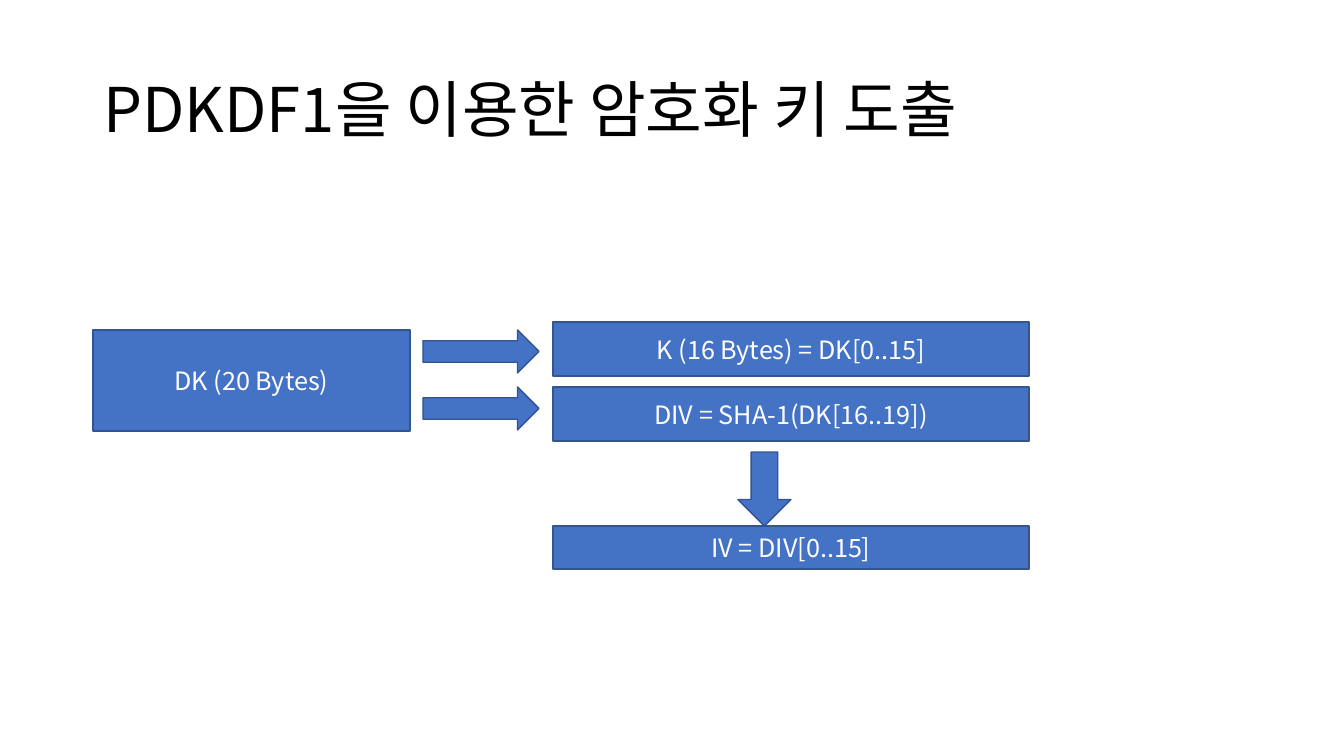
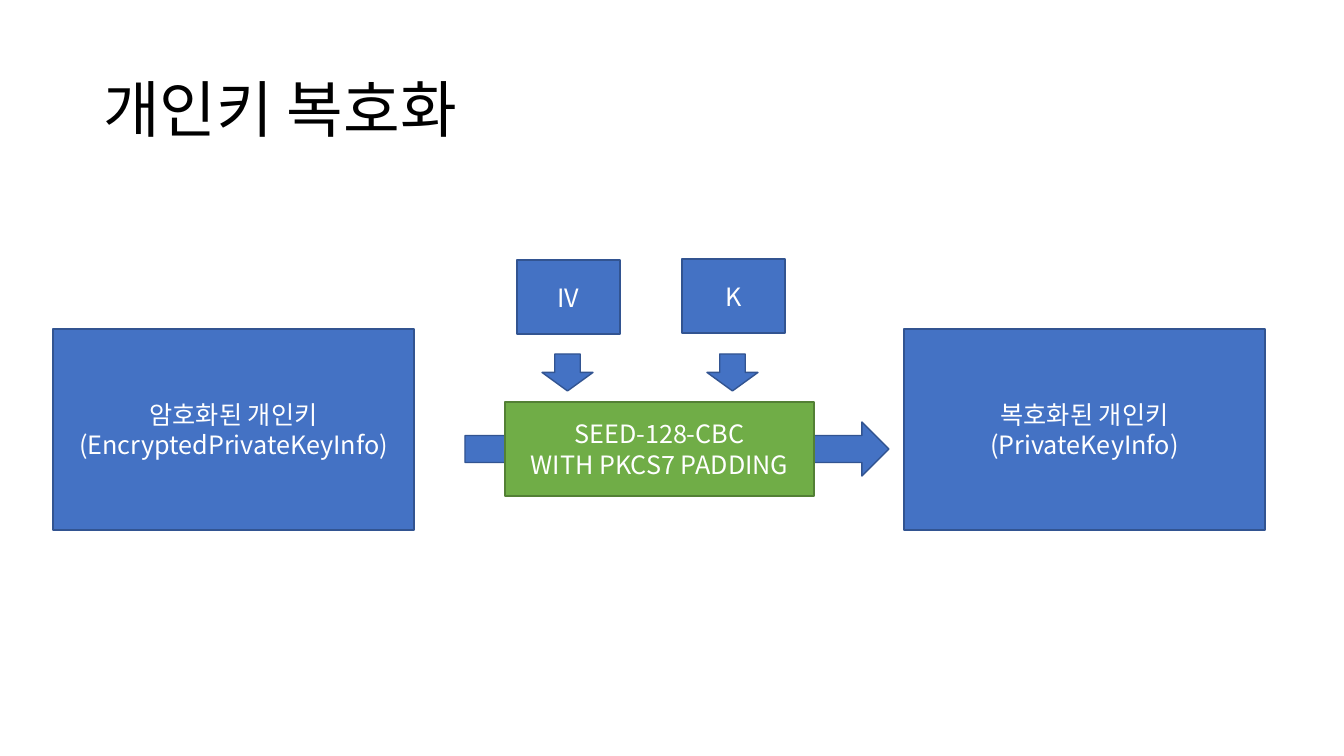
from lxml import etree
from pptx import Presentation
from pptx import util as u
from pptx.dml.color import RGBColor
from pptx.enum import shapes, text
from pptx.oxml.ns import qn

SCALE = 914400 / 100.8
FONT = "Noto Sans CJK KR"
COLORS = {
    "black": "000000",
    "white": "FFFFFF",
    "blue": "4472C4",
    "blue_edge": "325491",
    "green": "70AD47",
    "green_edge": "538035",
}
TITLE = {
    "font": {"name": FONT, "size": u.Pt(44)},
    "para": {"alignment": text.PP_ALIGN.LEFT, "line_spacing": 0.9},
    "color": "black",
}
LABEL = {
    "font": {"name": FONT, "size": u.Pt(18)},
    "para": {"alignment": text.PP_ALIGN.CENTER},
    "color": "white",
}
FRAME = {
    "word_wrap": True,
    "auto_size": text.MSO_AUTO_SIZE.NONE,
    "vertical_anchor": text.MSO_ANCHOR.MIDDLE,
}
RECT = shapes.MSO_SHAPE.RECTANGLE
RIGHT = shapes.MSO_SHAPE.RIGHT_ARROW
DOWN = shapes.MSO_SHAPE.DOWN_ARROW


def px(value):
    return u.Emu(round(value * SCALE))


def color(name):
    return RGBColor.from_string(COLORS[name])


def assign(target, values):
    for name, value in values.items():
        setattr(target, name, value)


def write(frame, words, style):
    assign(frame, FRAME)
    frame.text = words
    for para in frame.paragraphs:
        assign(para, style["para"])
        for span in para.runs:
            assign(span.font, style["font"])
            span.font.color.rgb = color(style["color"])
            etree.SubElement(span._r.get_or_add_rPr(), qn("a:ea"), typeface=FONT)


def add_page(deck, heading):
    page = deck.slides.add_slide(deck.slide_layouts.get_by_name("Title Only"))
    title = page.shapes.title
    place = dict(left=px(93), top=px(40), width=px(1159), height=px(146))
    assign(title, place)
    write(title.text_frame, heading, TITLE)
    return page


def add_block(page, kind, left, top, width, height, words="", tone="blue"):
    box = page.shapes.add_shape(kind, px(left), px(top), px(width), px(height))
    box.shadow.inherit = False
    box.fill.solid()
    box.fill.fore_color.rgb = color(tone)
    box.line.color.rgb = color(tone + "_edge")
    box.line.width = u.Pt(1)
    if words:
        write(box.text_frame, words, LABEL)


def add_derivation(deck):
    page = add_page(deck, "PDKDF1을 이용한 암호화 키 도출")
    add_block(page, RECT, 93, 330, 317, 101, "DK (20 Bytes)")
    for top in (330, 387):
        add_block(page, RIGHT, 423, top, 116, 43)
    for top, height, words in (
        (322, 54, "K (16 Bytes) = DK[0..15]"),
        (387, 54, "DIV = SHA-1(DK[16..19])"),
        (526, 43, "IV = DIV[0..15]"),
    ):
        add_block(page, RECT, 553, top, 476, height, words)
    add_block(page, DOWN, 738, 452, 53, 74)


def add_decryption(deck):
    page = add_page(deck, "개인키 복호화")
    add_block(page, RIGHT, 465, 422, 424, 54)
    for left, words in (
        (53, "암호화된 개인키\n(EncryptedPrivateKeyInfo)"),
        (904, "복호화된 개인키\n(PrivateKeyInfo)"),
    ):
        add_block(page, RECT, left, 329, 361, 201, words)
    for left, top, arrow_left, words in ((517, 260, 542, "IV"), (682, 259, 707, "K")):
        add_block(page, RECT, left, top, 103, 74, words)
        add_block(page, DOWN, arrow_left, 354, 51, 37)
    cipher = "SEED-128-CBC\nWITH PKCS7 PADDING"
    add_block(page, RECT, 505, 402, 309, 94, cipher, "green")


def main():
    deck = Presentation()
    assign(deck, {"slide_width": px(1344), "slide_height": px(756)})
    add_derivation(deck)
    add_decryption(deck)
    deck.save("out.pptx")


if __name__ == "__main__":
    main()
